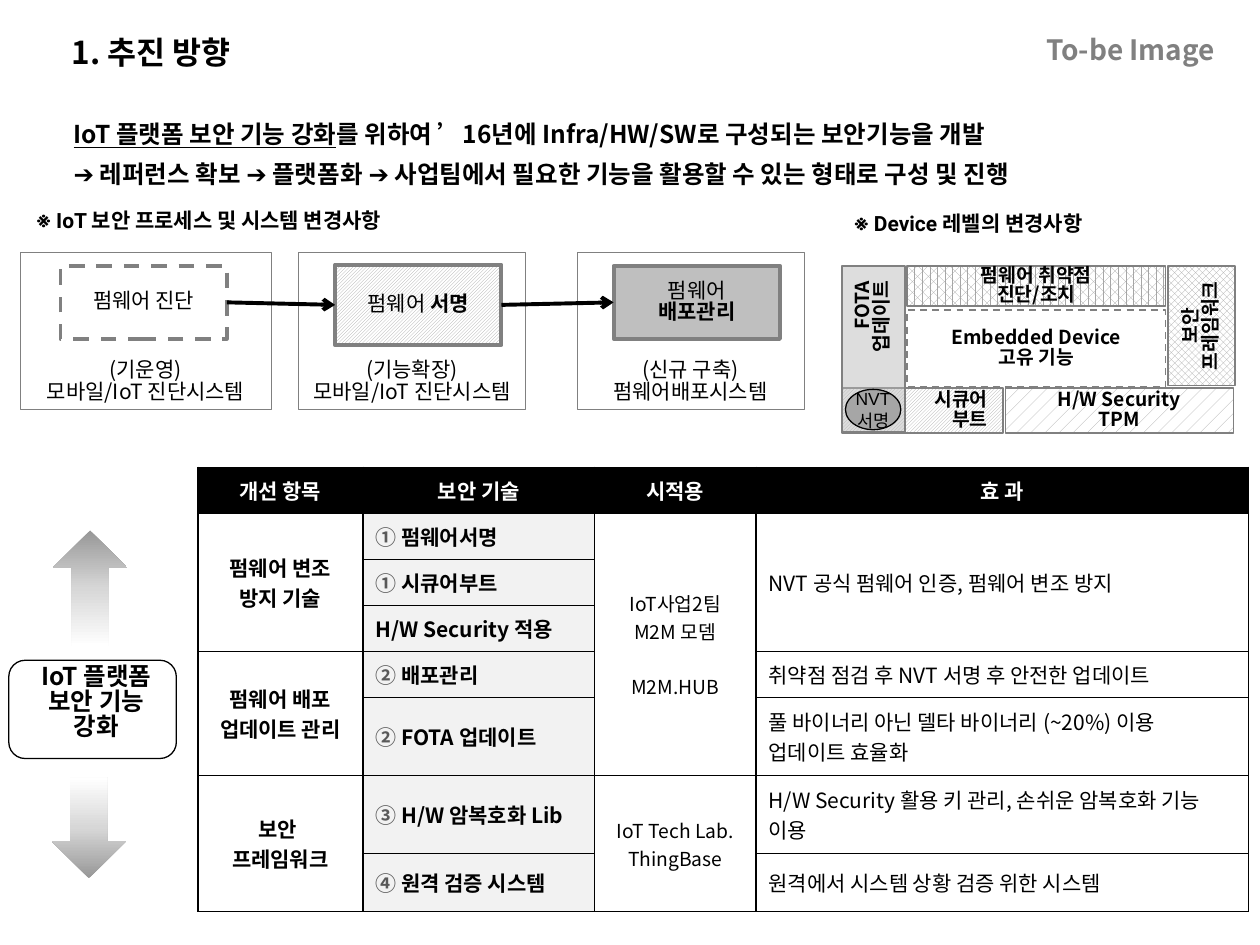
from lxml import etree
from pptx import Presentation, util as u
from pptx.dml.color import RGBColor
from pptx.enum import dml, shapes, text
from pptx.oxml import parse_xml
from pptx.oxml.ns import nsdecls, qn

W, H = u.Inches(10), u.Inches(7.5)
FONT = "Noto Sans CJK KR"
BLACK, WHITE, GREY, MID, PALE = "000000", "FFFFFF", "808080", "A6A6A6", "F2F2F2"
NUMBER = "595959"
LEFT, CENTER, RIGHT = text.PP_ALIGN.LEFT, text.PP_ALIGN.CENTER, text.PP_ALIGN.RIGHT
TOP, MIDDLE, BOTTOM = text.MSO_ANCHOR.TOP, text.MSO_ANCHOR.MIDDLE, text.MSO_ANCHOR.BOTTOM
KIND, PATTERN = shapes.MSO_SHAPE, dml.MSO_PATTERN
INSETS = (0.1, 0.05, 0.1, 0.05)


def color(value):
    return RGBColor.from_string(value)


def across(percent):
    return round(W * percent / 100)


def down(percent):
    return round(H * percent / 100)


def area(x, y, w, h):
    """Slide shares in percent, as left, top, width, height."""
    return across(x), down(y), across(w), down(h)


def write(tf, paras, size=12, c=BLACK, bold=False, font=FONT, align=LEFT,
          spacing=None, after=None):
    """Each paragraph is a string or a list of (text, font settings) runs."""
    for i, para in enumerate(paras):
        p = tf.paragraphs[0] if i == 0 else tf.add_paragraph()
        p.alignment = align
        if spacing:
            p.line_spacing = spacing
        if after:
            p.space_after = u.Pt(after)
        for words, look in [(para, {})] if isinstance(para, str) else para:
            for j, line in enumerate(words.split("\n")):
                if j:
                    p.add_line_break()
                if not line:
                    continue
                r = p.add_run()
                r.text = line
                r.font.size, r.font.name = u.Pt(size), font
                r.font.bold = look.get("bold", bold)
                r.font.underline = look.get("underline")
                r.font.color.rgb = color(look.get("c", c))
                etree.SubElement(r._r.get_or_add_rPr(), qn("a:ea"), typeface=FONT)


def frame(tf, anchor, insets=INSETS, wrap=True):
    tf.word_wrap, tf.vertical_anchor = wrap, anchor
    (tf.margin_left, tf.margin_top,
     tf.margin_right, tf.margin_bottom) = map(u.Inches, insets)


def label(s, at, paras, **look):
    sp = s.shapes.add_textbox(*area(*at))
    frame(sp.text_frame, TOP)
    write(sp.text_frame, paras, **look)


def block(s, at, paras=(), kind=KIND.RECTANGLE, fill=None, line=GREY, width=1,
          dash=False, rot=0, anchor=MIDDLE, insets=INSETS, wrap=True,
          align=CENTER, spacing=0.85, **look):
    """Fill is a hex string, a pattern or None."""
    sp = s.shapes.add_shape(kind, *area(*at))
    sp.shadow.inherit = False
    sp.rotation = rot
    if fill is None:
        sp.fill.background()
    elif isinstance(fill, str):
        sp.fill.solid()
        sp.fill.fore_color.rgb = color(fill)
    else:
        sp.fill.patterned()
        sp.fill.pattern = fill
        sp.fill.fore_color.rgb, sp.fill.back_color.rgb = color(MID), color(WHITE)
    if line:
        sp.line.color.rgb, sp.line.width = color(line), u.Pt(width)
        if dash:
            sp.line.dash_style = dml.MSO_LINE.DASH
    else:
        sp.line.fill.background()
    frame(sp.text_frame, anchor, insets, wrap)
    write(sp.text_frame, paras, align=align, spacing=spacing, **look)
    return sp


def link(s, a, b):
    """Arrow from the right side of a to the left side of b."""
    cx = s.shapes.add_connector(shapes.MSO_CONNECTOR.STRAIGHT, 0, 0, 0, 0)
    cx.begin_connect(a, 3)
    cx.end_connect(b, 1)
    cx.line.color.rgb, cx.line.width = color(BLACK), u.Pt(2.25)
    etree.SubElement(cx.line._get_or_add_ln(), qn("a:tailEnd"), type="arrow")
    etree.SubElement(cx._element.spPr, qn("a:effectLst"))


def fading_arrow(s, at, rot=0):
    sp = block(s, at, kind=KIND.DOWN_ARROW, line=None, rot=rot)
    stops = "".join(f'<a:gs pos="{pos}000"><a:srgbClr val="{c}"/></a:gs>'
                    for pos, c in ((0, "979797"), (50, "D7D7D7"), (100, WHITE)))
    grad = parse_xml(f'<a:gradFill {nsdecls("a")} rotWithShape="1"><a:gsLst>{stops}'
                     '</a:gsLst><a:lin ang="16200000" scaled="0"/></a:gradFill>')
    pr = sp._element.spPr
    pr.replace(pr.find(qn("a:noFill")), grad)


def style_cell(cell, fill):
    cell.vertical_anchor = MIDDLE
    pr = cell._tc.get_or_add_tcPr()
    for side in ("lnL", "lnR", "lnT", "lnB"):
        pr.append(parse_xml(f'<a:{side} {nsdecls("a")} w="12700"><a:solidFill>'
                            f'<a:srgbClr val="{BLACK}"/></a:solidFill></a:{side}>'))
    if fill:
        cell.fill.solid()
        cell.fill.fore_color.rgb = color(fill)
    else:
        cell.fill.background()


def process(s):
    label(s, (1.9, 21.2, 46.6, 3.87), ["※ IoT 보안 프로세스 및 시스템 변경사항"],
          bold=True, font="Roboto", spacing=u.Pt(15))
    narrow = (0.04, 0.05, 0.04, 0.05)
    for x, w, words, insets in (
            (1.6, 19.9, "(기운영)\n모바일/IoT 진단시스템", INSETS),
            (23.7, 18, "(기능확장)\n모바일/IoT 진단시스템", narrow),
            (45.8, 18, "(신규 구축)\n펌웨어배포시스템", INSETS)):
        block(s, (x, 26.67, w, 16.67), [words], fill=WHITE, width=0.25,
              anchor=BOTTOM, insets=insets)
    strong = {"bold": True}
    steps = [block(s, (x, y, 13.2, h), [runs], fill=fill, width=2.25, dash=dash)
             for x, y, h, runs, fill, dash in (
                 (4.8, 28.13, 7.73, "펌웨어 진단", WHITE, True),
                 (26.6, 28, 8.53, [("펌웨어 ", {}), ("서명", strong)],
                  PATTERN.LIGHT_UPWARD_DIAGONAL, False),
                 (48.7, 28.13, 7.73, [("펌웨어\n", {}), ("배포관리", strong)],
                  "BFBFBF", False))]
    for a, b in zip(steps, steps[1:]):
        link(s, a, b)


def device(s):
    look = dict(size=11, bold=True)
    side = dict(align=RIGHT, insets=(0.1, 0.05, 0.12, 0.05), **look)
    block(s, (66.8, 41.07, 12.8, 4.8), ["시큐어", "부트"],
          fill=PATTERN.DARK_UPWARD_DIAGONAL, **side)
    block(s, (72, 32.8, 20.5, 8.13), ["Embedded Device\n고유 기능"], dash=True, **look)
    block(s, (79.8, 41.07, 18.1, 4.8), ["H/W Security\nTPM"],
          fill=PATTERN.PERCENT_10, **look)
    fota = block(s, (62.7, 33.6, 13.2, 6.67), ["FOTA", "업데이트"],
                 fill="BABABA", rot=270, **side)
    tint = fota._element.spPr.find(qn("a:solidFill"))[0]
    etree.SubElement(tint, qn("a:alpha"), val="48000")
    block(s, (90.6, 30.93, 9.5, 7.07), ["보안 프레임워크"],
          fill=PATTERN.OUTLINED_DIAMOND, rot=270, **look)
    block(s, (72, 28.13, 20.5, 4.27), ["펌웨어 취약점\n진단/조치"],
          fill=PATTERN.PERCENT_60, **look)
    block(s, (67.1, 41.2, 4.4, 4.27), ["NVT\n서명"], kind=KIND.OVAL, fill=MID,
          line=BLACK, width=0.75, insets=(0, 0, 0, 0), wrap=False, size=10,
          font="Arial", spacing=1)
    label(s, (66.8, 21.47, 35.6, 3.87), ["※ Device 레벨의 변경사항"],
          bold=True, font="Roboto", spacing=u.Pt(15))


def effects_table(s):
    cols, rows = (13.1, 18.4, 12.8, 39.1), [4.87] * 5 + [8.27, 8.27, 6.13]
    t = s.shapes.add_table(len(rows), len(cols),
                           *area(15.7, 49.47, sum(cols), sum(rows))).table
    for col, w in zip(t.columns, cols):
        col.width = across(w)
    for row, h in zip(t.rows, rows):
        row.height = down(h)
    for r in range(len(rows)):
        for c in range(len(cols)):
            style_cell(t.cell(r, c), BLACK if r == 0 else PALE if c == 1 else None)
    for first, last, c in ((1, 3, 0), (4, 5, 0), (6, 7, 0), (1, 5, 2), (6, 7, 2), (1, 3, 3)):
        t.cell(first, c).merge(t.cell(last, c))

    for c, words in enumerate(("개선 항목", "보안 기술", "시적용", "효 과")):
        write(t.cell(0, c).text_frame, [words], c=WHITE, bold=True, align=CENTER)
    for r, paras in ((1, ["펌웨어 변조", "방지 기술"]), (4, ["펌웨어 배포", "업데이트 관리"]),
                     (6, ["보안 ", "프레임워크"])):
        write(t.cell(r, 0).text_frame, paras, bold=True, align=CENTER)
    skills = (("① ", "펌웨어서명"), ("① ", "시큐어부트"), ("", "H/W Security 적용"),
              ("② ", "배포관리"), ("② ", "FOTA 업데이트"),
              ("③ ", "H/W 암복호화 Lib"), ("④ ", "원격 검증 시스템"))
    for r, (number, name) in enumerate(skills, 1):
        write(t.cell(r, 1).text_frame, [[(number, {"c": NUMBER}), (name, {})]], bold=True)
    for r, paras in ((1, ["IoT사업2팀", "M2M 모뎀", "M2M.HUB"]),
                     (6, ["IoT Tech Lab.", "ThingBase"])):
        write(t.cell(r, 2).text_frame, paras, size=11, align=CENTER)
    t.cell(1, 2).text_frame.paragraphs[2].space_before = u.Pt(16)
    for r, words in ((1, "NVT 공식 펌웨어 인증, 펌웨어 변조 방지"),
                     (4, "취약점 점검 후 NVT 서명 후 안전한 업데이트"),
                     (5, "풀 바이너리 아닌 델타 바이너리 (~20%) 이용\n업데이트 효율화"),
                     (6, "H/W Security 활용 키 관리, 손쉬운 암복호화 기능 이용"),
                     (7, "원격에서 시스템 상황 검증 위한 시스템")):
        write(t.cell(r, 3).text_frame, [words])


def main():
    prs = Presentation()
    prs.slide_width, prs.slide_height = W, H
    s = prs.slides.add_slide(prs.slide_layouts[6])
    # Heading and key message
    label(s, (41.7, 2.8, 55.7, 4.93), ["To-be Image"], size=16, c=GREY,
          bold=True, align=RIGHT)
    label(s, (4.7, 2.8, 55.7, 4.93), ["1. 추진 방향"], size=18, bold=True)
    goal = block(s, (4.6, 10.13, 99.2, 11.6), [
        [("IoT 플랫폼 보안 기능 강화", {"underline": True}),
         ("를 위하여 ’16년에 Infra/HW/SW로 구성되는 보안기능을 개발", {})],
        "➔ 레퍼런스 확보 ➔ 플랫폼화 ➔ 사업팀에서 필요한 기능을 활용할 수 있는 형태로 구성 및 진행"],
        kind=KIND.ROUNDED_RECTANGLE, line=None, align=LEFT, size=14, bold=True,
        spacing=1.25, after=1.9)
    goal.adjustments[0] = 0.1
    # Technologies, then the two diagrams above them
    effects_table(s)
    process(s)
    device(s)
    # Aim with arrows up and down
    block(s, (0.7, 69.87, 13.3, 10.4), ["IoT 플랫폼 보안 기능\n강화"],
          kind=KIND.ROUNDED_RECTANGLE, fill=WHITE, line=BLACK, width=0.75,
          anchor=TOP, insets=(0.08, 0, 0.02, 0), size=14, bold=True)
    fading_arrow(s, (4.1, 82.27, 5.9, 10.67))
    fading_arrow(s, (4.2, 56.13, 5.9, 12.27), rot=180)
    prs.save("out.pptx")


if __name__ == "__main__":
    main()
